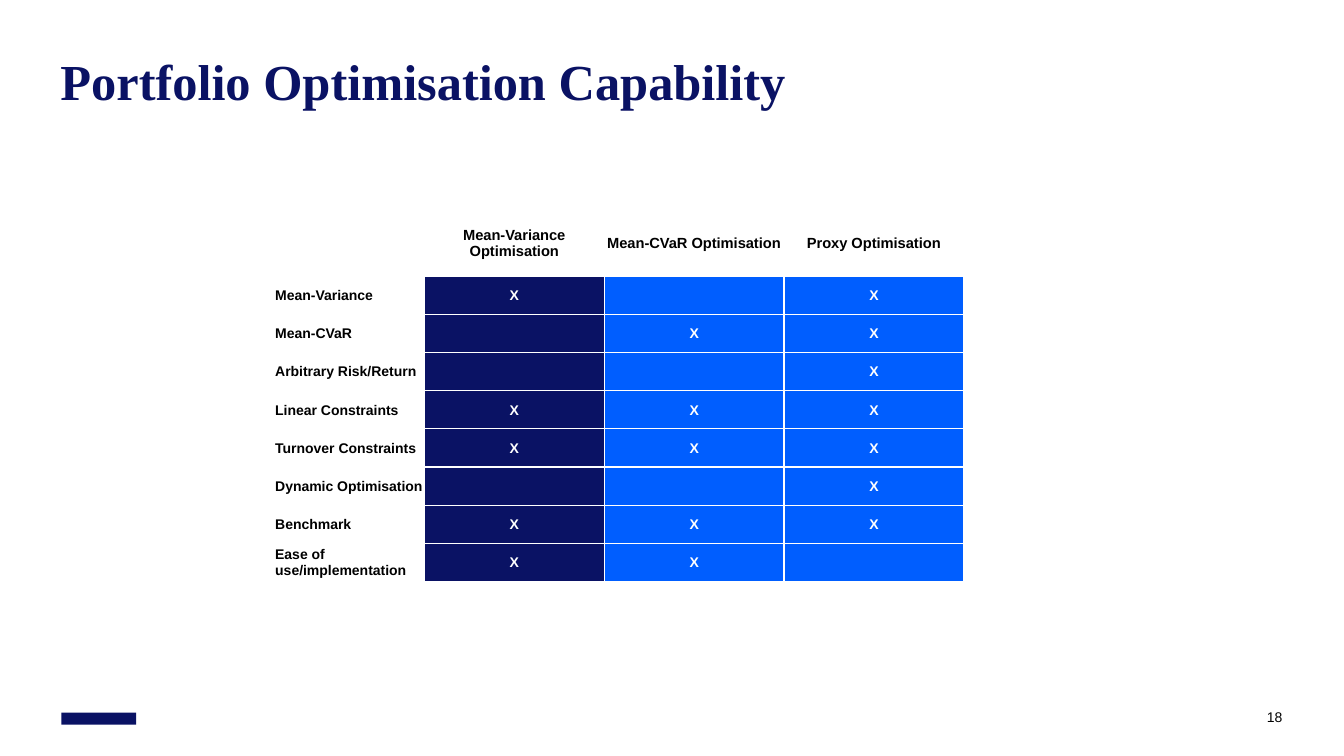
from pptx import Presentation, oxml
from pptx.dml.color import RGBColor
from pptx.enum import shapes, text
from pptx.util import Inches, Pt

TITLE = "Portfolio Optimisation Capability"
PAGE = "18"
HEADS = ["Mean-Variance Optimisation", "Mean-CVaR Optimisation", "Proxy Optimisation"]
ROWS = [
    ("Mean-Variance", "X", "", "X"),
    ("Mean-CVaR", "", "X", "X"),
    ("Arbitrary Risk/Return", "", "", "X"),
    ("Linear Constraints", "X", "X", "X"),
    ("Turnover Constraints", "X", "X", "X"),
    ("Dynamic Optimisation", "", "", "X"),
    ("Benchmark", "X", "X", "X"),
    ("Ease of use/implementation", "X", "X", ""),
]


class Theme:
    navy = RGBColor.from_string("0A1264")
    blue = RGBColor.from_string("005EFF")
    black = RGBColor.from_string("000000")
    white = RGBColor.from_string("FFFFFF")
    serif, sans = "Times New Roman", "Arial"
    title, head, body = 36, 10.5, 10


LEFT, TOP, WIDTH, HEIGHT = 2.56, 2.08, 7, 3.69
LABEL, HEAD = 1.65, 0.66
INDENT, PAD = 0.17, 0.01


def style(par, face, size, color, bold, align):
    par.alignment = align
    font = par.font
    font.name, font.size, font.bold = face, Pt(size), bold
    font.color.rgb = color


def clear(frame):
    frame.margin_left = frame.margin_right = 0
    frame.margin_top = frame.margin_bottom = 0
    frame.word_wrap = True
    frame.auto_size = text.MSO_AUTO_SIZE.NONE


def border(cell):
    props = cell._tc.get_or_add_tcPr()
    for i, side in enumerate(("lnL", "lnR", "lnT", "lnB")):
        props.insert(i, oxml.parse_xml(
            f'<a:{side} xmlns:a="http://schemas.openxmlformats.org/drawingml/2006/main" '
            f'w="{Pt(1)}"><a:solidFill><a:srgbClr val="{Theme.white}"/></a:solidFill></a:{side}>'))


def add_title(slide):
    box = slide.shapes.title
    box.left, box.top, box.width, box.height = map(Inches, (0.6, 0.6, 12.13, 0.48))
    frame = box.text_frame
    frame.text = TITLE
    clear(frame)
    frame.vertical_anchor = text.MSO_ANCHOR.TOP
    par = frame.paragraphs[0]
    par.line_spacing = Pt(Theme.title)
    style(par, Theme.serif, Theme.title, Theme.navy, True, text.PP_ALIGN.LEFT)


def add_grid(slide):
    grid = slide.shapes.add_table(
        len(ROWS) + 1, len(HEADS) + 1, *map(Inches, (LEFT, TOP, WIDTH, HEIGHT))).table
    grid.first_row = grid.horz_banding = False
    for c, col in enumerate(grid.columns):
        col.width = Inches((WIDTH - LABEL) / len(HEADS) if c else LABEL)
    for r, row in enumerate(grid.rows):
        row.height = Inches((HEIGHT - HEAD) / len(ROWS) if r else HEAD)
    for r, row in enumerate([("", *HEADS), *ROWS]):
        for c, word in enumerate(row):
            cell = grid.cell(r, c)
            cell.text = word
            cell.vertical_anchor = text.MSO_ANCHOR.MIDDLE
            cell.margin_left = Inches(PAD if c else INDENT)
            cell.margin_top = cell.margin_right = Inches(PAD)
            cell.margin_bottom = 0
            mark = r > 0 and c > 0
            if mark:
                cell.fill.solid()
                cell.fill.fore_color.rgb = Theme.navy if c == 1 else Theme.blue
            else:
                cell.fill.background()
            border(cell)
            style(cell.text_frame.paragraphs[0], Theme.sans,
                  Theme.body if r else Theme.head,
                  Theme.white if mark else Theme.black, True,
                  text.PP_ALIGN.CENTER if c else text.PP_ALIGN.LEFT)


def add_foot(slide):
    badge = slide.shapes.add_shape(
        shapes.MSO_SHAPE.RECTANGLE, *map(Inches, (0.61, 7.07, 0.74, 0.12)))
    badge.shadow.inherit = False
    badge.fill.solid()
    badge.fill.fore_color.rgb = Theme.navy
    badge.line.fill.background()
    frame = slide.shapes.add_textbox(*map(Inches, (11.4, 6.9, 1.32, 0.3))).text_frame
    frame.text = PAGE
    clear(frame)
    frame.vertical_anchor = text.MSO_ANCHOR.BOTTOM
    style(frame.paragraphs[0], Theme.sans, Theme.body, Theme.black, False, text.PP_ALIGN.RIGHT)


def main():
    deck = Presentation()
    deck.slide_width, deck.slide_height = Inches(13.33), Inches(7.5)
    slide = deck.slides.add_slide(deck.slide_layouts[5])
    add_title(slide)
    add_grid(slide)
    add_foot(slide)
    deck.save("out.pptx")


if __name__ == "__main__":
    main()
